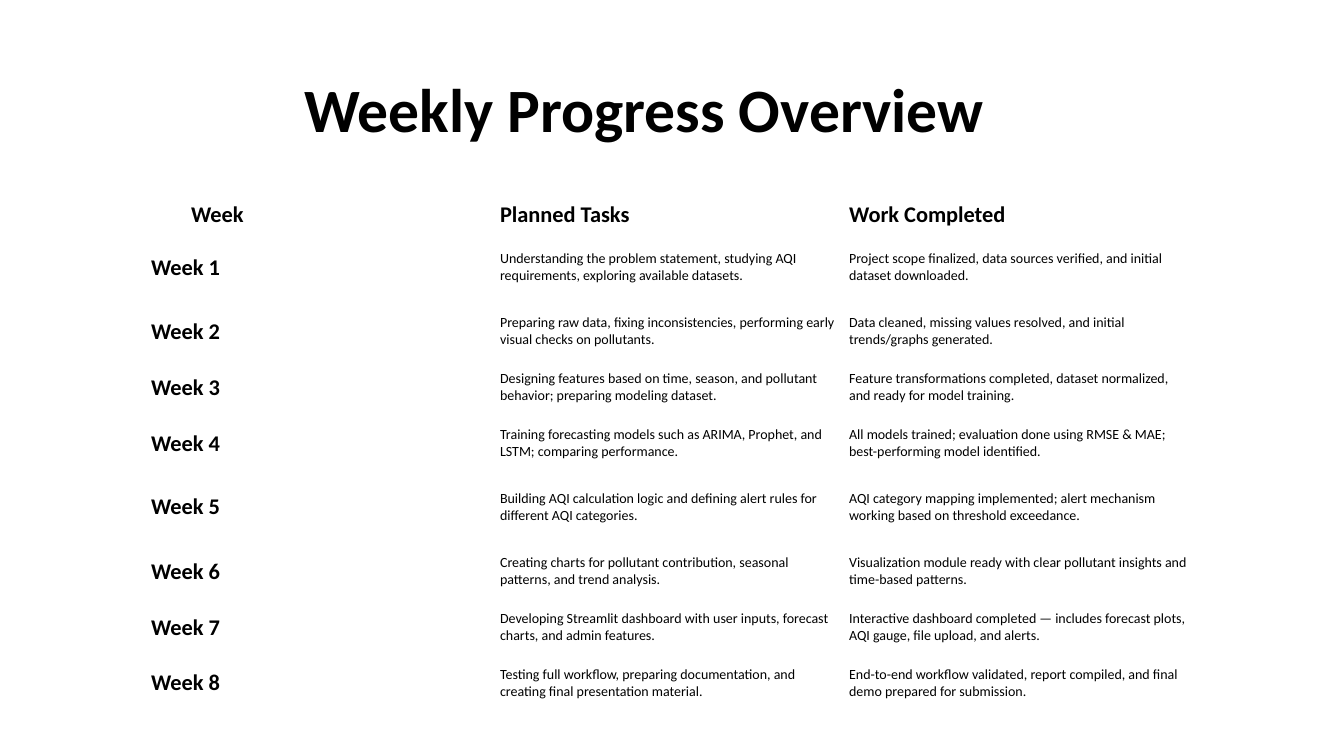
"""Build the weekly progress overview slide."""
from pptx import Presentation
from pptx.dml.color import RGBColor
from pptx.enum.text import MSO_ANCHOR, PP_ALIGN
from pptx.util import Inches, Pt

TITLE = "Weekly Progress Overview"
HEADINGS = ("Week", "Planned Tasks", "Work Completed")
WEEKS = [
    ("Understanding the problem statement, studying AQI requirements, exploring available datasets.",
     "Project scope finalized, data sources verified, and initial dataset downloaded."),
    ("Preparing raw data, fixing inconsistencies, performing early visual checks on pollutants.",
     "Data cleaned, missing values resolved, and initial trends/graphs generated."),
    ("Designing features based on time, season, and pollutant behavior; preparing modeling dataset.",
     "Feature transformations completed, dataset normalized, and ready for model training."),
    ("Training forecasting models such as ARIMA, Prophet, and LSTM; comparing performance.",
     "All models trained; evaluation done using RMSE & MAE; best-performing model identified."),
    ("Building AQI calculation logic and defining alert rules for different AQI categories.",
     "AQI category mapping implemented; alert mechanism working based on threshold exceedance."),
    ("Creating charts for pollutant contribution, seasonal patterns, and trend analysis.",
     "Visualization module ready with clear pollutant insights and time-based patterns."),
    ("Developing Streamlit dashboard with user inputs, forecast charts, and admin features.",
     "Interactive dashboard completed — includes forecast plots, AQI gauge, file upload, and alerts."),
    ("Testing full workflow, preparing documentation, and creating final presentation material.",
     "End-to-end workflow validated, report compiled, and final demo prepared for submission."),
]
COLORS = {"text": "000000"}
FONT = "Calibri"
TITLE_BOX = (93, 40, 1159, 146)
TITLE_INDENT = 211
TABLE_LEFT, TABLE_TOP = 146, 198
COLUMN_WIDTH = 349
HEADER_HEIGHT, ROW_HEIGHT, TALL_HEIGHT = 33, 56, 72
TALL_WEEKS = (1, 5)
CELL_SIDE, CELL_EDGE, WEEK_INDENT = 5, 3, 40


def px(length):
    return round(length * 914400 / 100.8)


def style(paragraph, size, bold):
    for run in paragraph.runs:
        run.font.name = FONT
        run.font.size = Pt(size)
        run.font.bold = bold
        run.font.color.rgb = RGBColor.from_string(COLORS["text"])


def add_title(slide):
    title = slide.shapes.title
    title.left, title.top, title.width, title.height = map(px, TITLE_BOX)
    frame = title.text_frame
    frame.text = TITLE
    frame.word_wrap = True
    frame.vertical_anchor = MSO_ANCHOR.MIDDLE
    frame.margin_left = px(TITLE_INDENT)
    heading = frame.paragraphs[0]
    heading.alignment = PP_ALIGN.LEFT
    heading.line_spacing = 0.9
    style(heading, 44, True)


def add_schedule(slide):
    rows = [HEADINGS] + [(f"Week {number}", *work) for number, work in enumerate(WEEKS, 1)]
    heights = [HEADER_HEIGHT] + [
        TALL_HEIGHT if number in TALL_WEEKS else ROW_HEIGHT
        for number in range(1, len(rows))
    ]
    schedule = slide.shapes.add_table(
        len(rows), len(HEADINGS), px(TABLE_LEFT), px(TABLE_TOP),
        px(COLUMN_WIDTH * len(HEADINGS)), px(sum(heights))).table
    schedule.first_row = schedule.horz_banding = False
    for column in schedule.columns:
        column.width = px(COLUMN_WIDTH)
    for row_index, (entries, height) in enumerate(zip(rows, heights)):
        schedule.rows[row_index].height = px(height)
        for column_index, entry in enumerate(entries):
            cell = schedule.cell(row_index, column_index)
            cell.fill.background()
            cell.vertical_anchor = MSO_ANCHOR.MIDDLE
            indent = WEEK_INDENT if row_index == column_index == 0 else 0
            cell.margin_left = px(CELL_SIDE + indent)
            cell.margin_right = px(CELL_SIDE)
            cell.margin_top = cell.margin_bottom = px(CELL_EDGE)
            cell.text_frame.text = entry
            label = row_index == 0 or column_index == 0
            style(cell.text_frame.paragraphs[0], 16 if label else 10, label)


def main():
    deck = Presentation()
    deck.slide_width, deck.slide_height = Inches(13.33), Inches(7.5)
    slide = deck.slides.add_slide(deck.slide_layouts[5])
    add_title(slide)
    add_schedule(slide)
    deck.save("out.pptx")


if __name__ == "__main__":
    main()
